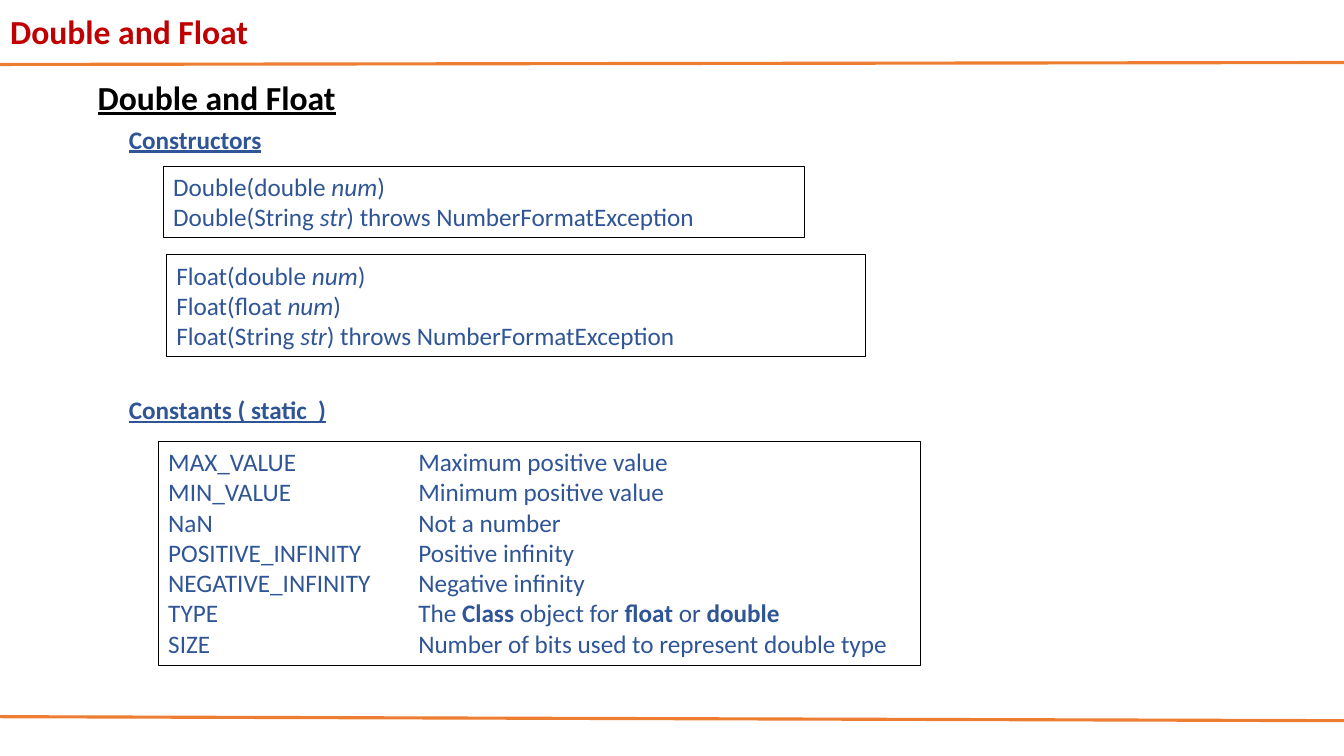
from lxml import etree
from pptx import Presentation
from pptx.dml.color import RGBColor
from pptx.enum.shapes import MSO_CONNECTOR, MSO_SHAPE
from pptx.enum.text import MSO_ANCHOR, PP_ALIGN
from pptx.oxml.ns import qn
from pptx.util import Inches, Pt

LINE = MSO_CONNECTOR.STRAIGHT
RECT = MSO_SHAPE.RECTANGLE
TOP, MIDDLE = MSO_ANCHOR.TOP, MSO_ANCHOR.MIDDLE
LEFT = PP_ALIGN.LEFT

WIDTH, HEIGHT = Inches(13.33), Inches(7.5)
COLORS = {"title": "C00000", "rule": "ED7D31", "ink": "000000", "code": "2F5597"}
FONT = "Calibri"
TAB = Inches(2.48)

DOUBLES = [
    "Double(double *num*)",
    "Double(String *str*) throws NumberFormatException",
]
FLOATS = [
    "Float(double *num*)",
    "Float(float *num*)",
    "Float(String *str*) throws NumberFormatException",
]
CONSTANTS = [
    ("MAX_VALUE", "Maximum positive value"),
    ("MIN_VALUE", "Minimum positive value"),
    ("NaN", "Not a number"),
    ("POSITIVE_INFINITY", "Positive infinity"),
    ("NEGATIVE_INFINITY", "Negative infinity"),
    ("TYPE", "The *Class* object for *float* or *double*"),
    ("SIZE", "Number of bits used to represent double type"),
]


def color(name):
    return RGBColor.from_string(COLORS[name])


def place(x, y):
    """Turn percentages of the slide's width and height into lengths."""
    return int(WIDTH * x / 100), int(HEIGHT * y / 100)


def add_tab(para):
    props = para._p.get_or_add_pPr()
    stops = etree.SubElement(props, qn("a:tabLst"))
    etree.SubElement(stops, qn("a:tab"), pos=str(TAB), algn="l")


def write(frame, lines, size=18, ink="code", bold=False, underline=False,
          mark="italic", anchor=TOP):
    """Fill a frame with lines; words between asterisks get the mark format."""
    frame.word_wrap = True
    frame.vertical_anchor = anchor
    for i, line in enumerate(lines):
        para = frame.paragraphs[0] if i == 0 else frame.add_paragraph()
        para.alignment = LEFT
        if "\t" in line:
            add_tab(para)
        for j, part in enumerate(line.split("*")):
            if not part:
                continue
            run = para.add_run()
            run.text = part
            font = run.font
            font.name, font.size = FONT, Pt(size)
            font.color.rgb = color(ink)
            font.bold, font.underline = bold, underline
            if j % 2:
                setattr(font, mark, True)


def add_label(slide, x, y, w, h, text, **style):
    box = slide.shapes.add_textbox(*place(x, y), *place(w, h))
    write(box.text_frame, [text], **style)
    return box


def add_panel(slide, x, y, w, h, lines, **style):
    box = slide.shapes.add_shape(RECT, *place(x, y), *place(w, h))
    box.shadow.inherit = False
    box.fill.background()
    box.line.color.rgb = color("ink")
    box.line.width = Pt(0.75)
    write(box.text_frame, lines, **style)


def add_rule(slide, start, end):
    """Draw a line across the slide between two heights."""
    rule = slide.shapes.add_connector(LINE, *place(0, start), *place(100, end))
    rule.line.color.rgb = color("rule")
    rule.line.width = Pt(2.25)
    etree.SubElement(rule._element.spPr, qn("a:effectLst"))


def main():
    deck = Presentation()
    deck.slide_width, deck.slide_height = WIDTH, HEIGHT
    slide = deck.slides.add_slide(deck.slide_layouts[6])

    title = add_label(slide, 0.23, 0, 73.44, 8.13, "Double and Float",
                      size=24, ink="title", bold=True, anchor=MIDDLE)
    title.text_frame.margin_left = title.text_frame.margin_right = Inches(0.07)
    add_rule(slide, 8.53, 8.27)
    add_rule(slide, 94.8, 95.33)

    add_label(slide, 6.53, 9.47, 29.56, 6.67, "Double and Float",
              size=24, ink="ink", bold=True, underline=True)
    for y, text in ((15.73, "Constructors"), (51.47, "Constants ( static  )")):
        add_label(slide, 8.85, y, 29.56, 5.33, text, bold=True, underline=True)

    add_panel(slide, 12.15, 22, 47.71, 9.47, DOUBLES)
    add_panel(slide, 12.38, 33.73, 51.99, 13.47, FLOATS)
    add_panel(slide, 11.78, 58.4, 56.71, 29.6,
              ["\t".join(pair) for pair in CONSTANTS], mark="bold")
    deck.save("out.pptx")


if __name__ == "__main__":
    main()
